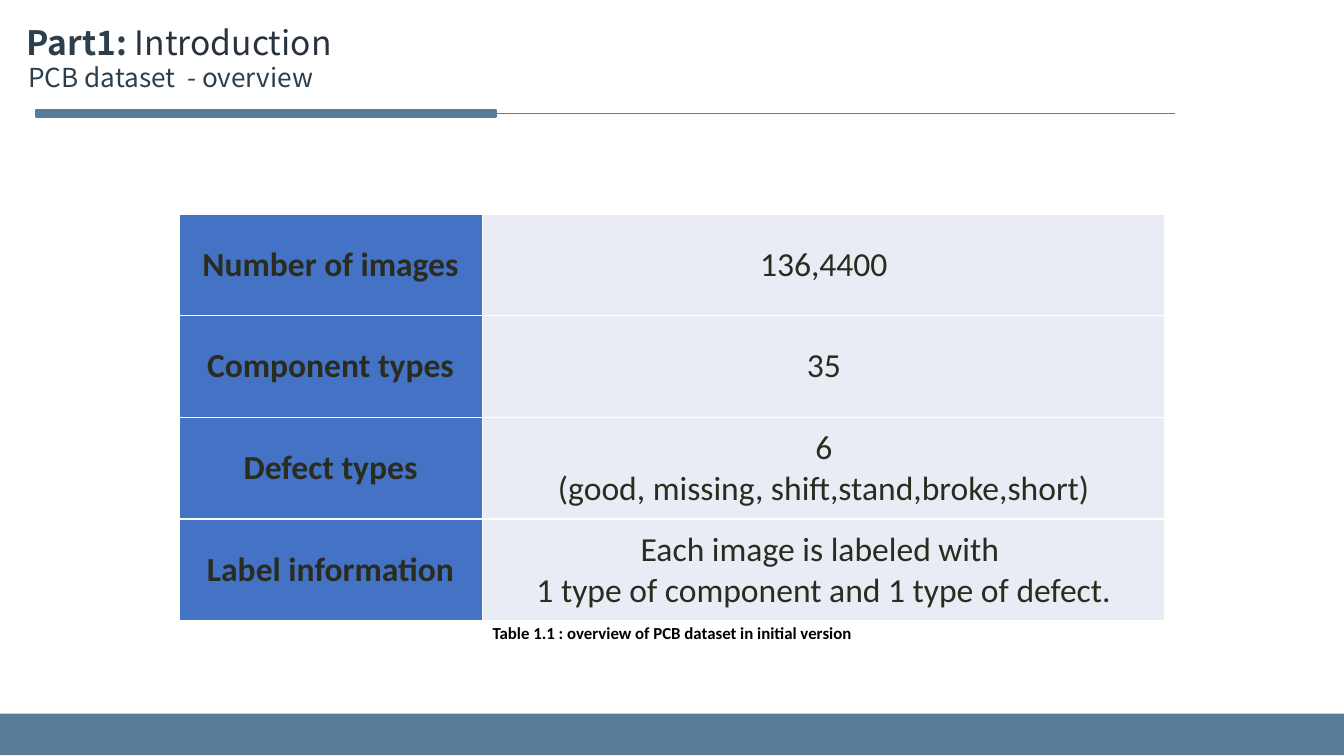
from dataclasses import dataclass

from lxml.etree import SubElement
from pptx import Presentation
from pptx.dml.color import RGBColor as RGB
from pptx.enum.shapes import MSO_CONNECTOR as Connector, MSO_SHAPE as Shape
from pptx.enum.text import MSO_ANCHOR as Anchor, MSO_AUTO_SIZE as AutoSize, PP_ALIGN as Align
from pptx.oxml.ns import qn
from pptx.util import Inches, Pt


@dataclass(frozen=True)
class Theme:
    """Colours, fonts and type sizes of the slide."""
    accent: RGB = RGB.from_string("597D98")
    heading: RGB = RGB.from_string("2D3F4C")
    topic: RGB = RGB.from_string("29323F")
    label_fill: RGB = RGB.from_string("4472C4")
    value_fill: RGB = RGB.from_string("E9EBF5")
    body: RGB = RGB.from_string("292C1F")
    caption: RGB = RGB.from_string("000000")
    white: RGB = RGB.from_string("FFFFFF")
    heading_font: str = "Noto Sans CJK SC"
    body_font: str = "Calibri"
    large: Pt = Pt(18)
    medium: Pt = Pt(14)
    small: Pt = Pt(9)
    hairline: Pt = Pt(0.5)
    border: Pt = Pt(1)


THEME = Theme()
FACTS = [
    ("Number of images", "136,4400"),
    ("Component types", "35"),
    ("Defect types", "6\n(good, missing, shift,stand,broke,short)"),
    ("Label information", "Each image is labeled with \v1 type of component and 1 type of defect."),
]
CAPTION = "Table 1.1 : overview of PCB dataset in initial version"


def apply_format(target, values):
    """Set each attribute of the target from a dict of format values."""
    for attribute, value in values.items():
        setattr(target, attribute, value)


def format_font(font, color, **values):
    """Give a font its colour and its other format values."""
    font.color.rgb = color
    apply_format(font, values)


def add_bar(slide, left, top, width, height):
    """Add a plain rectangle in the accent colour."""
    bar = slide.shapes.add_shape(Shape.RECTANGLE, *map(Inches, (left, top, width, height)))
    bar.shadow.inherit = False
    bar.fill.solid()
    bar.fill.fore_color.rgb = THEME.accent
    bar.line.fill.background()
    return bar


def add_heading(slide, left, top, width, height):
    """Fill the title with the part name and its subtitle."""
    title = slide.shapes.title
    apply_format(title, {"left": Inches(left), "top": Inches(top),
                         "width": Inches(width), "height": Inches(height)})
    frame = title.text_frame
    apply_format(frame, {"word_wrap": True, "auto_size": AutoSize.NONE,
                         "vertical_anchor": Anchor.TOP})
    part_line, subtitle_line = frame.paragraphs[0], frame.add_paragraph()
    pieces = [
        (part_line, "Part1: ", THEME.heading, THEME.large, True),
        (part_line, "Introduction", THEME.topic, THEME.large, False),
        (subtitle_line, "PCB dataset  - overview", THEME.heading, THEME.medium, False),
    ]
    for line, text, color, size, bold in pieces:
        run = line.add_run()
        run.text = text
        format_font(run.font, color, size=size, bold=bold, name=THEME.heading_font)
    for line in frame.paragraphs:
        apply_format(line, {"alignment": Align.LEFT, "line_spacing": 1.0})
    subtitle_line._p.get_or_add_pPr().set("marL", str(Inches(0.01)))


def add_heading_rule(slide, left, top, width, height):
    """Draw a thin rule that runs into a thick bar at its left."""
    middle = Inches(top + height / 2)
    rule = slide.shapes.add_connector(
        Connector.STRAIGHT, Inches(left + width), middle, Inches(left), middle)
    rule.line.color.rgb = THEME.accent
    rule.line.width = THEME.hairline
    SubElement(rule._element.spPr, qn("a:effectLst"))
    bar = add_bar(slide, left, top, 3.42, height)
    bar.line.color.rgb = THEME.accent
    bar.line.width = THEME.border
    rule.end_connect(bar, 1)


def add_cell_borders(cell):
    """Put a white line on each side of a table cell."""
    properties = cell._tc.get_or_add_tcPr()
    for side in ("a:lnL", "a:lnR", "a:lnT", "a:lnB"):
        line = SubElement(properties, qn(side), w=str(THEME.border))
        fill = SubElement(line, qn("a:solidFill"))
        SubElement(fill, qn("a:srgbClr"), val=str(THEME.white))


def fill_cell(cell, text, fill, color, size, bold, anchor=Anchor.MIDDLE):
    """Write centred text into a bordered and filled table cell."""
    cell.text = text
    margins = dict.fromkeys(
        ("margin_left", "margin_right", "margin_top", "margin_bottom"), Inches(0.02))
    apply_format(cell, {"vertical_anchor": anchor, **margins})
    for paragraph in cell.text_frame.paragraphs:
        paragraph.alignment = Align.CENTER
        for run in paragraph.runs:
            format_font(run.font, color, size=size, bold=bold, name=THEME.body_font)
    add_cell_borders(cell)
    cell.fill.solid()
    cell.fill.fore_color.rgb = fill


def add_facts_table(slide, left, top, width, height):
    """Add the dataset facts with a caption in the merged last row."""
    label_width, caption_height = 2.26, 0.18
    table = slide.shapes.add_table(
        len(FACTS) + 1, 2, *map(Inches, (left, top, width, height))).table
    apply_format(table, {"first_row": False, "horz_banding": False})
    for column, column_width in zip(table.columns, (label_width, width - label_width)):
        column.width = Inches(column_width)
    for row in table.rows:
        row.height = Inches((height - caption_height) / len(FACTS))
    table.rows[len(FACTS)].height = Inches(caption_height)
    for index, (label, value) in enumerate(FACTS):
        fill_cell(table.cell(index, 0), label, THEME.label_fill, THEME.body, THEME.large, True)
        fill_cell(table.cell(index, 1), value, THEME.value_fill, THEME.body, THEME.large, False)
    caption_cell = table.cell(len(FACTS), 0)
    caption_cell.merge(table.cell(len(FACTS), 1))
    fill_cell(caption_cell, CAPTION, THEME.white, THEME.caption, THEME.small, True, Anchor.TOP)


def main():
    """Build the overview slide and save it."""
    deck = Presentation()
    apply_format(deck, {"slide_width": Inches(10), "slide_height": Inches(10) * 9 // 16})
    slide = deck.slides.add_slide(deck.slide_layouts.get_by_name("Title Only"))
    add_bar(slide, 0, 5.31, 10, 0.31)
    add_heading_rule(slide, 0.27, 0.82, 8.47, 0.05)
    add_heading(slide, 0.1, 0.11, 7.65, 0.64)
    add_facts_table(slide, 1.33, 1.59, 7.34, 3.21)
    deck.save("out.pptx")


if __name__ == "__main__":
    main()
